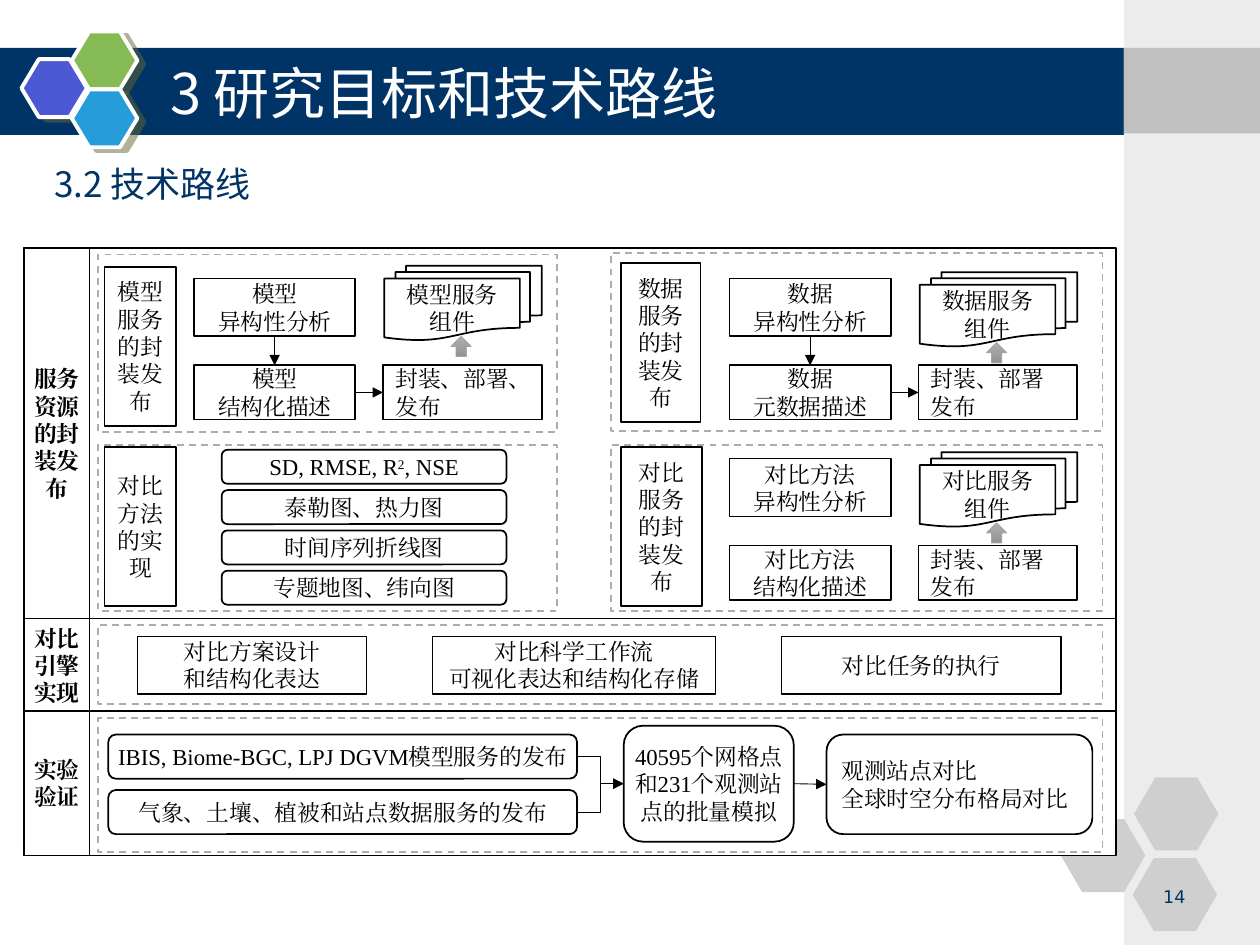
from pptx import Presentation
from pptx.dml.color import RGBColor
from pptx.enum.dml import MSO_LINE
from pptx.enum.shapes import MSO_CONNECTOR, MSO_SHAPE
from pptx.enum.text import MSO_ANCHOR, MSO_AUTO_SIZE, PP_ALIGN
from pptx.oxml.ns import qn
from pptx.util import Inches, Pt
from lxml.etree import SubElement

NAVY, WHITE, BLACK, DASH_GRAY = "003366", "FFFFFF", "000000", "AFABAB"
SERIF, SANS = "Times New Roman", "Noto Sans CJK SC"
FRAME_LEFT, FRAME_WIDTH, HEADING_WIDTH = 0.19, 8.67, 0.52
PANEL_LEFT, PANEL_WIDTH = 0.78, 7.97
TOP, BOTTOM, LEFT, RIGHT = 0, 2, 1, 3
LEFT_ALIGN, CENTER = PP_ALIGN.LEFT, PP_ALIGN.CENTER
DEFAULT_INSETS = (0.1, 0.05, 0.1, 0.05)


def color(value):
    return RGBColor.from_string(value)


def write(shape, text, size=13, face=SERIF, ink=BLACK, bold=False, align=CENTER,
          insets=DEFAULT_INSETS, anchor=MSO_ANCHOR.MIDDLE):
    """Fill a shape with one paragraph per line; text between ^ marks is superscript."""
    frame = shape.text_frame
    margins = zip(("margin_left", "margin_top", "margin_right", "margin_bottom"),
                  map(Inches, insets))
    frame_format = {"word_wrap": True, "auto_size": MSO_AUTO_SIZE.NONE,
                    "vertical_anchor": anchor, **dict(margins)}
    for name, value in frame_format.items():
        setattr(frame, name, value)
    for index, line in enumerate(text.split("\n")):
        paragraph = frame.add_paragraph() if index else frame.paragraphs[0]
        paragraph.alignment = align
        for part, piece in enumerate(line.split("^")):
            run = paragraph.add_run()
            run.text = piece
            for name, value in {"size": Pt(size), "name": face, "bold": bold}.items():
                setattr(run.font, name, value)
            run.font.color.rgb = color(ink)
            properties = run.font._element
            SubElement(properties, qn("a:ea")).set("typeface", face)
            if part % 2:
                properties.set("baseline", "30000")


def block(slide, box, text=None, kind=MSO_SHAPE.RECTANGLE, fill=WHITE, line=BLACK,
          width=1, **text_format):
    shape = slide.shapes.add_shape(kind, *map(Inches, box))
    shape.shadow.inherit = False
    if fill:
        shape.fill.solid()
        shape.fill.fore_color.rgb = color(fill)
    else:
        shape.fill.background()
    if line:
        shape.line.color.rgb = color(line)
        shape.line.width = Pt(width)
    else:
        shape.line.fill.background()
    if text:
        write(shape, text, **text_format)
    return shape


def dashed_panel(slide, box):
    block(slide, box, line=DASH_GRAY).line.dash_style = MSO_LINE.DASH


def arrow(slide, start, start_side, end, end_side, kind=MSO_CONNECTOR.STRAIGHT):
    connector = slide.shapes.add_connector(kind, 0, 0, 0, 0)
    connector.begin_connect(start, start_side)
    connector.end_connect(end, end_side)
    connector.line.color.rgb = color(BLACK)
    connector.line.width = Pt(0.5)
    SubElement(connector.line._get_or_add_ln(), qn("a:tailEnd")).set("type", "triangle")
    SubElement(connector.element.spPr, qn("a:effectLst"))


def hexagon(slide, box, fill, adjustment, line=None):
    shape = block(slide, box, kind=MSO_SHAPE.HEXAGON, fill=fill, line=line, width=2.25)
    shape.adjustments[0] = adjustment
    return shape


def backdrop(slide):
    block(slide, (0, 0.38, 8.93, 0.69), fill=NAVY, line=None)
    for left, top, fill in ((0.17, 0.47, "4C59D2"), (0.57, 0.25, "85BA54"),
                            (0.57, 0.71, "269DD8")):
        tile = hexagon(slide, (left, top, 0.52, 0.46), fill, 0.3, WHITE)
        shadow = SubElement(tile.element.spPr.find(qn("a:effectLst")), qn("a:outerShdw"))
        for name, value in {"dist": Pt(4.5), "dir": 27 * 60000, "algn": "ctr",
                            "rotWithShape": 0}.items():
            shadow.set(name, str(value))
        tint = SubElement(shadow, qn("a:srgbClr"))
        tint.set("val", "666633")
        SubElement(tint, qn("a:alpha")).set("val", "50000")
    block(slide, (8.92, 0, 1.08, 7.5), fill="ECECEC", line=None)
    block(slide, (8.92, 0.38, 1.08, 0.68), fill="C0C0C0", line=None)
    for left, top in ((8.42, 6.5), (9, 6.17), (8.99, 6.81)):
        hexagon(slide, (left, top, 0.67, 0.58), "CFCFCF", 0.29)


def place(slide, shape, box):
    """Move a placeholder to its box, in front of what is already drawn."""
    for name, value in zip(("left", "top", "width", "height"), map(Inches, box)):
        setattr(shape, name, value)
    slide.shapes._spTree.append(shape.element)


def headings(slide):
    title, subtitle = slide.shapes.title, slide.placeholders[1]
    place(slide, title, (1.25, 0.42, 7.42, 0.62))
    write(title, "3 研究目标和技术路线", 32, SANS, WHITE, align=LEFT_ALIGN)
    place(slide, subtitle, (0.33, 1.17, 7.5, 0.46))
    write(subtitle, "3.2 技术路线", 20, SANS, NAVY, align=LEFT_ALIGN, anchor=MSO_ANCHOR.TOP)
    paragraph = subtitle.text_frame.paragraphs[0]
    properties = paragraph._p.get_or_add_pPr()
    properties.set("marL", "0")
    properties.set("indent", "0")
    SubElement(properties, qn("a:buNone"))
    paragraph.line_spacing = 1.2
    paragraph.space_before = Pt(0)
    number = slide.shapes.add_textbox(*map(Inches, (9.07, 6.98, 0.5, 0.25)))
    write(number, "14", 10, "DejaVu Sans", NAVY, anchor=MSO_ANCHOR.TOP)


def stage(slide, top, height, heading):
    """Framed row with its bold heading cell."""
    block(slide, (FRAME_LEFT, top, FRAME_WIDTH, height))
    block(slide, (FRAME_LEFT, top, HEADING_WIDTH, height), heading, bold=True, insets=(0.05,) * 4)


def service_panel(slide, box, label, subject, description, packaging, label_box,
                  steps_at, package_x, documents_y, linked=True):
    """Analysis, description, packaging and components; offsets are from the panel corner."""
    left, top = box[:2]
    steps_x, steps_y = left + steps_at[0], top + steps_at[1]
    package_x, documents_y = left + package_x, top + documents_y
    dashed_panel(slide, box)
    block(slide, (left + label_box[0], top + label_box[1], label_box[2], 1.26), label)
    analysis = block(slide, (steps_x, steps_y, 1.28, 0.46), f"{subject}\n异构性分析")
    structure = block(slide, (steps_x, steps_y + 0.69, 1.28, 0.43), f"{subject}\n{description}")
    package = block(slide, (package_x, steps_y + 0.69, 1.26, 0.43), packaging, align=LEFT_ALIGN)
    if linked:
        arrow(slide, analysis, BOTTOM, structure, TOP)
        arrow(slide, structure, RIGHT, package, LEFT)
    block(slide, (package_x + 0.01, documents_y, 1.25, 0.59), f"{subject[:2]}服务\n组件",
          MSO_SHAPE.FLOWCHART_MULTIDOCUMENT)
    up = block(slide, (package_x + 0.54, documents_y + 0.56, 0.16, 0.16),
               kind=MSO_SHAPE.UP_ARROW, line="A5A5A5", width=0.5)
    up.fill.gradient()
    up.fill.gradient_angle = 270
    for stop, shade in zip(up.fill.gradient_stops, ("AFAFAF", "939393")):
        stop.color.rgb = color(shade)


def methods_panel(slide, box):
    left, top = box[:2]
    dashed_panel(slide, box)
    block(slide, (left + 0.05, top + 0.02, 0.57, 1.26), "对比方法\n的实现")
    methods = ("SD, RMSE, R^2^, NSE", "泰勒图、热力图", "时间序列折线图", "专题地图、纬向图")
    for index, method in enumerate(methods):
        block(slide, (left + 0.98, top + 0.04 + index * 0.32, 2.26, 0.27), method,
              MSO_SHAPE.ROUNDED_RECTANGLE, insets=(0, 0.05, 0, 0.05))


def engine_panel(slide, box):
    dashed_panel(slide, box)
    tasks = ((0.31, 1.82, "对比方案设计\n和结构化表达"),
             (2.65, 2.25, "对比科学工作流\n可视化表达和结构化存储"),
             (5.42, 2.22, "对比任务的执行"))
    for offset, width, task in tasks:
        block(slide, (box[0] + offset, box[1] + 0.09, width, 0.46), task, fill=None, width=0.75)


def validation_panel(slide, box):
    left, top = box[:2]
    rounded = MSO_SHAPE.ROUNDED_RECTANGLE
    dashed_panel(slide, box)
    sources = [block(slide, (left + 0.08, top + 0.13 + index * 0.44, 3.72, 0.35), text, rounded,
                     insets=(0, 0.05, 0, 0.05))
               for index, text in enumerate(("IBIS, Biome-BGC, LPJ DGVM模型服务的发布",
                                             "气象、土壤、植被和站点数据服务的发布"))]
    simulation = block(slide, (left + 4.17, top + 0.06, 1.35, 0.92),
                       "40595个网格点和231个观测站点的批量模拟", rounded,
                       insets=(0, 0.05, 0, 0.05))
    comparison = block(slide, (left + 5.78, top + 0.13, 2.11, 0.79),
                       "观测站点对比\n全球时空分布格局对比", rounded, align=LEFT_ALIGN,
                       insets=(0.08, 0.05, 0.04, 0.05))
    for source in sources:
        arrow(slide, source, RIGHT, simulation, LEFT, MSO_CONNECTOR.ELBOW)
    arrow(slide, simulation, RIGHT, comparison, LEFT)


def main():
    deck = Presentation()
    deck.slide_width, deck.slide_height = Inches(10), Inches(7.5)
    slide = deck.slides.add_slide(deck.slide_layouts[1])
    backdrop(slide)
    headings(slide)
    stage(slide, 1.97, 2.94, "服务资源的封装发布")
    service_panel(slide, (PANEL_LEFT, 2.02, 3.64, 1.41), "模型服务的封装发布", "模型", "结构化描述",
                  "封装、部署、发布", (0.05, 0.1, 0.57), (0.76, 0.19), 2.26, 0.09)
    service_panel(slide, (4.85, 2.01, 3.9, 1.41), "数据服务的封装发布", "数据", "元数据描述",
                  "封装、部署发布", (0.08, 0.08, 0.63), (0.94, 0.2), 2.44, 0.15)
    methods_panel(slide, (PANEL_LEFT, 3.53, 3.64, 1.32))
    service_panel(slide, (4.85, 3.53, 3.9, 1.32), "对比服务的封装发布", "对比方法", "结构化描述",
                  "封装、部署发布", (0.08, 0.02, 0.64), (0.94, 0.11), 2.44, 0.06, linked=False)
    stage(slide, 4.91, 0.74, "对比引擎实现")
    engine_panel(slide, (PANEL_LEFT, 4.96, PANEL_WIDTH, 0.63))
    stage(slide, 5.64, 1.15, "实验验证")
    validation_panel(slide, (PANEL_LEFT, 5.7, PANEL_WIDTH, 1.06))
    deck.save("out.pptx")


if __name__ == "__main__":
    main()
